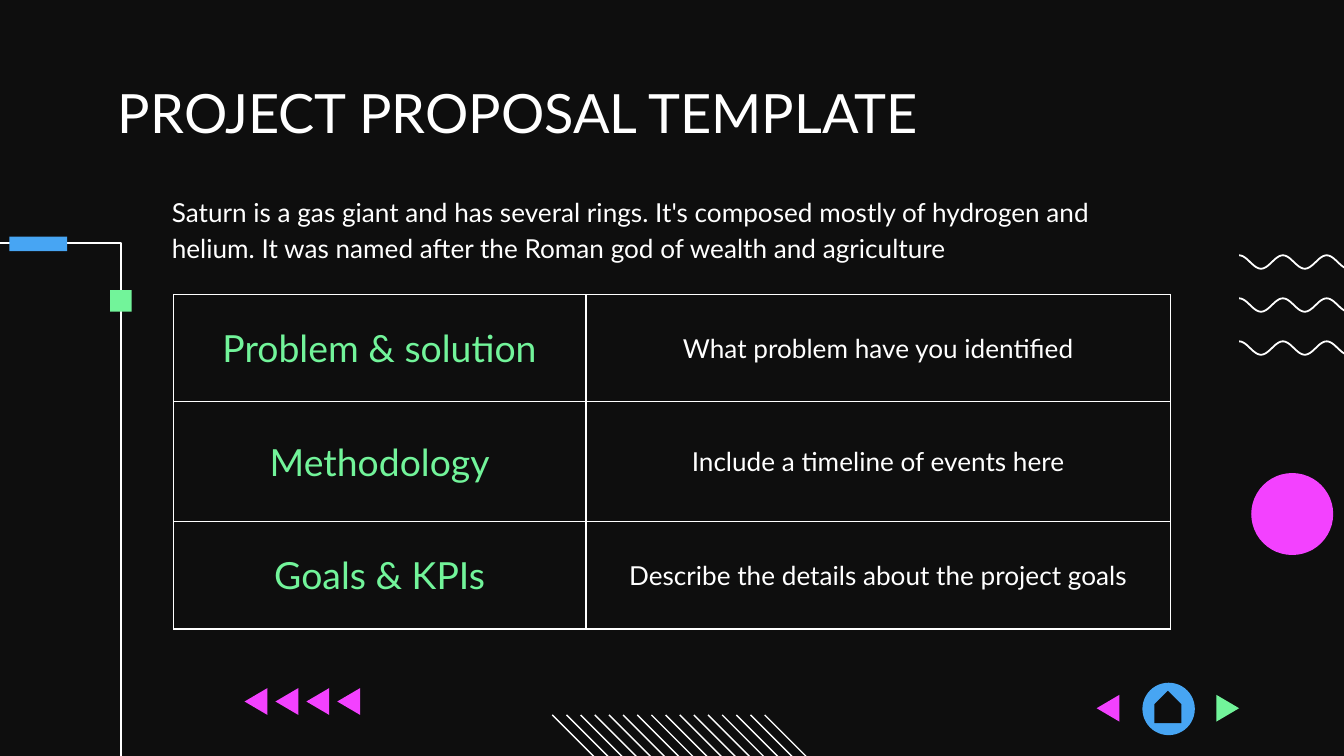
import math

from lxml import etree
from pptx import Presentation, util as u
from pptx.dml.color import RGBColor
from pptx.enum import shapes, text
from pptx.oxml.ns import qn

INK, WHITE = "0E0E0E", "FFFFFF"
GREEN, BLUE, PINK = "72F49A", "47A5F3", "F341FF"
KIND = shapes.MSO_SHAPE
WIDE = 10
HIGH = WIDE * 9 / 16


def color(code):
    return RGBColor.from_string(code)


def paint(shape, fill):
    shape.shadow.inherit = False
    shape.fill.solid()
    shape.fill.fore_color.rgb = color(fill)
    shape.line.fill.background()


def block(slide, kind, box, fill):
    shape = slide.shapes.add_shape(kind, *map(u.Inches, box))
    paint(shape, fill)
    return shape


def outline(slide, points, closed):
    spots = [(u.Inches(x), u.Inches(y)) for x, y in points]
    pen = slide.shapes.build_freeform(*spots[0])
    pen.add_line_segments(spots[1:], close=closed)
    return pen.convert_to_shape()


def stroke(slide, points, width=0.75):
    shape = outline(slide, points, False)
    shape.shadow.inherit = False
    shape.fill.background()
    shape.line.color.rgb = color(WHITE)
    shape.line.width = u.Pt(width)


def arrow(slide, box, fill, left=True):
    x, y, w, h = box
    base, tip = (x + w, x) if left else (x, x + w)
    points = [(base, y), (tip, y + h / 2), (base, y + h)]
    paint(outline(slide, points, True), fill)


def write(frame, words, size, fill, align=text.PP_ALIGN.LEFT):
    frame.word_wrap = True
    para = frame.paragraphs[0]
    para.alignment = align
    run = para.add_run()
    run.text = words
    look = {"name": "Lato", "size": u.Pt(size), "bold": False}
    for key, value in look.items():
        setattr(run.font, key, value)
    run.font.color.rgb = color(fill)
    return para


def label(slide, box, words, size, top):
    frame = slide.shapes.add_textbox(*map(u.Inches, box)).text_frame
    for side in ("left", "right", "bottom"):
        setattr(frame, "margin_" + side, u.Inches(0.1))
    frame.margin_top = u.Inches(top)
    return write(frame, words, size, WHITE)


def border(cell):
    props = cell._tc.get_or_add_tcPr()
    for spot, side in enumerate(("lnL", "lnR", "lnT", "lnB")):
        line = etree.Element(qn("a:" + side), w=str(u.Pt(0.75)))
        fill = etree.SubElement(line, qn("a:solidFill"))
        etree.SubElement(fill, qn("a:srgbClr"), val=WHITE)
        props.insert(spot, line)


def grid(slide, x, y, cols, rows, data):
    box = map(u.Inches, (x, y, sum(cols), sum(rows)))
    table = slide.shapes.add_table(len(rows), len(cols), *box).table
    table.first_row = table.horz_banding = False
    for col, width in zip(table.columns, cols):
        col.width = u.Inches(width)
    for row, height, words in zip(table.rows, rows, data):
        row.height = u.Inches(height)
        for cell, phrase, (size, fill) in zip(
                row.cells, words, ((20, GREEN), (14, WHITE))):
            cell.fill.background()
            cell.vertical_anchor = text.MSO_ANCHOR.MIDDLE
            for side in ("left", "right", "top", "bottom"):
                setattr(cell, "margin_" + side, u.Inches(0.1))
            write(cell.text_frame, phrase, size, fill, text.PP_ALIGN.CENTER)
            border(cell)


def rail(slide, x, y):
    """Bent line from the left edge to the bottom, with two markers."""
    stroke(slide, [(0, y), (x, y), (x, HIGH)])
    block(slide, KIND.RECTANGLE, (x - 0.08, y + 0.35, 0.16, 0.16), GREEN)
    block(slide, KIND.RECTANGLE, (0.07, y - 0.05, 0.43, 0.11), BLUE)


def arrows(slide, x, y):
    for i in range(4):
        arrow(slide, (x + i * 0.23, y, 0.17, 0.2), PINK)


def hatch(slide, x, y):
    for i in range(16):
        left = x + i * 1.58 / 15
        stroke(slide, [(left, y), (left + 0.57, y + 0.57)])


def waves(slide, x, y):
    half, steps = 1.14 / 7, 12
    for row in range(3):
        top = y + row * 0.32
        points = [(x + i * half / steps,
                   top + 0.05 * (1 - math.cos(math.pi * i / steps)))
                  for i in range(7 * steps + 1)]
        stroke(slide, points, 0.95)


def buttons(slide, x, y):
    """Back, home and forward."""
    block(slide, KIND.OVAL, (x + 0.34, y, 0.39, 0.39), BLUE)
    home = block(slide, KIND.PENTAGON, (x + 0.41, y + 0.08, 0.24, 0.2), INK)
    home.rotation = 270
    arrow(slide, (x, y + 0.09, 0.17, 0.2), PINK)
    arrow(slide, (x + 0.89, y + 0.09, 0.17, 0.2), GREEN, left=False)


def main():
    deck = Presentation()
    deck.slide_width, deck.slide_height = u.Inches(WIDE), u.Inches(HIGH)
    slide = deck.slides.add_slide(deck.slide_layouts[6])
    slide.background.fill.solid()
    slide.background.fill.fore_color.rgb = color(INK)

    rail(slide, 0.9, 1.81)
    block(slide, KIND.OVAL, (9.31, 3.52, 0.61, 0.61), PINK)
    arrows(slide, 1.82, 5.12)
    hatch(slide, 4.11, 5.32)
    waves(slide, 9.22, 1.9)

    intro = label(slide, (1.18, 1.33, 7.64, 0.86),
                  "Saturn is a gas giant and has several rings. It's composed "
                  "mostly of hydrogen and helium. It was named after the Roman "
                  "god of wealth and agriculture", 14, 0.1)
    intro.line_spacing = 1.15
    intro.space_after = u.Pt(12)
    grid(slide, 1.29, 2.19, (3.07, 4.35), (0.8, 0.89, 0.8), (
        ("Problem & solution", "What problem have you identified"),
        ("Methodology", "Include a timeline of events here"),
        ("Goals & KPIs", "Describe the details about the project goals"),
    ))
    label(slide, (0.78, 0.59, 8.44, 0.46), "PROJECT PROPOSAL TEMPLATE", 29, 0)
    buttons(slide, 8.16, 5.08)
    deck.save("out.pptx")


if __name__ == "__main__":
    main()
